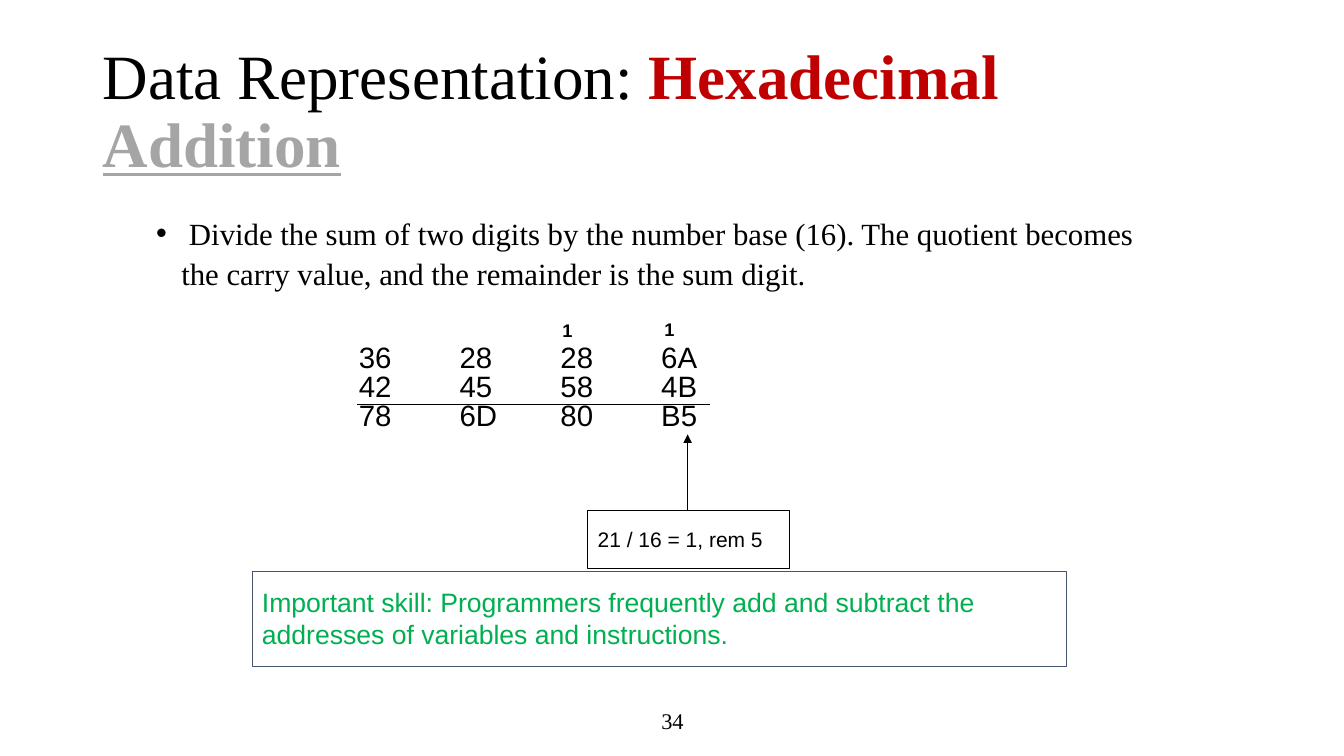
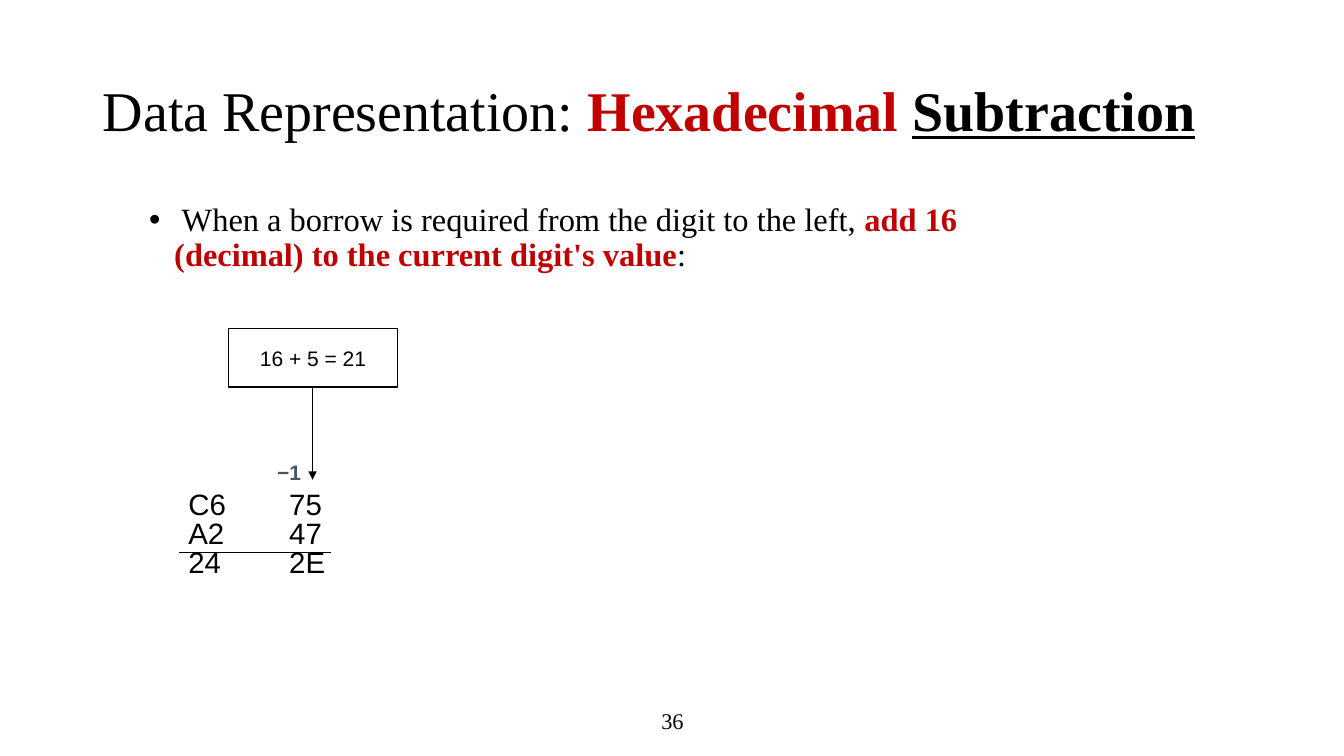
from lxml import etree
from pptx import Presentation
from pptx.dml.color import RGBColor
from pptx.enum import shapes, text
from pptx.oxml.ns import qn
from pptx.util import Inches, Pt

COLORS = {"black": "000000", "red": "C00000", "gray": "A5A5A5",
          "slate": "44546A", "green": "00B050"}
SERIF, SANS = "Times New Roman", "Arial"
ROOMY = (0.1, 0.14)
SNUG = (0.1, 0.05)
COLUMN_STEP = 1

SLIDES = [
    {
        "number": "34",
        "title_size": 45,
        "title": [("Data Representation: ", "black", ""), ("Hexadecimal ", "red", "b"),
                  ("Addition", "gray", "bu")],
        "rule": {"at": (1.45, 2.04, 10.18, 0.67), "size": 22, "spacing": 1.1, "runs": [
            (" Divide the sum of two digits by the number base (16). The quotient becomes "
             "the carry value, and the remainder is the sum digit.", "black", "")]},
        "sum": {"at": (3.46, 3.4, 4.25, 1.07),
                "rows": ["36\t28\t28\t6A", "42\t45\t58\t4B", "78\t6D\t80\tB5"]},
        "lines": [((3.54, 4.01), (7.04, 4.01), False), ((6.82, 5.06), (6.82, 4.31), True)],
        "carries": [("1", (6.49, 3.02, 0.31, 0.52), 13, "black"),
                    ("1", (5.48, 3.03, 0.31, 0.52), 13, "black")],
        "boxes": [
            {"text": "21 / 16 = 1, rem 5", "at": (5.83, 5.06, 2, 0.58), "size": 15,
             "spacing": 1.1},
            {"text": "Important skill: Programmers frequently add and subtract the "
                     "addresses of variables and instructions.",
             "at": (2.5, 5.67, 8.08, 0.94), "size": 19, "color": "green", "border": "slate"},
        ],
    },
    {
        "number": "36",
        "title_size": 40,
        "title": [("Data Representation: ", "black", ""), ("Hexadecimal ", "red", "b"),
                  ("Subtraction", "black", "bu")],
        "rule": {"at": (1.38, 1.97, 9.4, 0.83), "size": 23.2, "spacing": 0.9, "runs": [
            (" When a borrow is required from the digit to the left, ", "black", ""),
            ("add 16 (decimal) to the current digit's value", "red", "b"),
            (":", "black", "")]},
        "sum": {"at": (1.77, 4.86, 1.92, 1.07), "rows": ["C6\t75", "A2\t47", "24\t2E"]},
        "lines": [((1.78, 5.48), (3.28, 5.48), False), ((3.1, 3.84), (3.1, 4.76), True)],
        "carries": [("−1", (2.65, 4.42, 0.58, 0.56), 15, "slate")],
        "boxes": [{"text": "16 + 5 = 21", "at": (2.27, 3.26, 1.67, 0.58), "size": 15,
                   "spacing": 1.1, "align": text.PP_ALIGN.CENTER}],
    },
]


def rgb(name):
    return RGBColor.from_string(COLORS[name])


def place(shape, at):
    shape.left, shape.top, shape.width, shape.height = map(Inches, at)


def set_frame(frame, insets, anchor=text.MSO_ANCHOR.TOP):
    frame.word_wrap = True
    frame.auto_size = text.MSO_AUTO_SIZE.NONE
    frame.vertical_anchor = anchor
    frame.margin_left = frame.margin_right = Inches(insets[0])
    frame.margin_top = frame.margin_bottom = Inches(insets[1])


def write(paragraph, runs, size, face, spacing=1.0, align=text.PP_ALIGN.LEFT):
    paragraph.alignment = align
    paragraph.line_spacing = spacing
    paragraph.space_before = Pt(0)
    for words, color, style in runs:
        run = paragraph.add_run()
        run.text = words
        run.font.name = face
        run.font.size = Pt(size)
        run.font.bold = "b" in style
        run.font.underline = "u" in style
        run.font.color.rgb = rgb(color)


def add_text(slide, at, insets=ROOMY, anchor=text.MSO_ANCHOR.TOP):
    frame = slide.shapes.add_textbox(*map(Inches, at)).text_frame
    set_frame(frame, insets, anchor)
    return frame


def add_title(slide, runs, size):
    title = slide.shapes.title
    place(title, (0.92, 0.4, 11.5, 1.45))
    set_frame(title.text_frame, SNUG, text.MSO_ANCHOR.MIDDLE)
    write(title.text_frame.paragraphs[0], runs, size, SERIF, 0.9)


def add_rule(slide, rule):
    paragraph = add_text(slide, rule["at"], SNUG).paragraphs[0]
    write(paragraph, rule["runs"], rule["size"], SERIF, rule["spacing"])
    props = paragraph._p.get_or_add_pPr()
    props.set("marL", str(Inches(0.25)))
    props.set("indent", str(-Inches(0.25)))
    etree.SubElement(props, qn("a:buFont"), typeface="Arial")
    etree.SubElement(props, qn("a:buChar"), char="•")


def add_sum(slide, at, rows):
    frame = add_text(slide, at)
    for index, row in enumerate(rows):
        paragraph = frame.add_paragraph() if index else frame.paragraphs[0]
        write(paragraph, [(row, "black", "")], 21, SANS, 0.4)
        if index:
            paragraph.space_before = Pt(10.8)
        stops = etree.SubElement(paragraph._p.get_or_add_pPr(), qn("a:tabLst"))
        for column in range(1, row.count("\t") + 1):
            etree.SubElement(stops, qn("a:tab"), pos=str(Inches(column * COLUMN_STEP)),
                             algn="l")


def add_line(slide, start, end, arrow):
    line = slide.shapes.add_connector(shapes.MSO_CONNECTOR.STRAIGHT,
                                      *map(Inches, start + end))
    line.line.width = Pt(0.75)
    line.line.color.rgb = rgb("black")
    if arrow:
        etree.SubElement(line.line._get_or_add_ln(), qn("a:tailEnd"), type="triangle")
    etree.SubElement(line._element.spPr, qn("a:effectLst"))


def add_box(slide, box):
    shape = slide.shapes.add_shape(shapes.MSO_SHAPE.RECTANGLE, *map(Inches, box["at"]))
    shape.shadow.inherit = False
    shape.fill.background()
    shape.line.color.rgb = rgb(box.get("border", "black"))
    shape.line.width = Pt(0.75)
    set_frame(shape.text_frame, ROOMY)
    write(shape.text_frame.paragraphs[0], [(box["text"], box.get("color", "black"), "")],
          box["size"], SANS, box.get("spacing", 1.0), box.get("align", text.PP_ALIGN.LEFT))


def add_number(slide, number):
    frame = add_text(slide, (4.42, 6.95, 4.5, 0.4), SNUG, text.MSO_ANCHOR.MIDDLE)
    write(frame.paragraphs[0], [(number, "black", "")], 16, SERIF,
          align=text.PP_ALIGN.CENTER)


def main():
    deck = Presentation()
    deck.slide_width, deck.slide_height = Inches(13.33), Inches(7.5)
    for content in SLIDES:
        slide = deck.slides.add_slide(deck.slide_layouts[5])
        add_number(slide, content["number"])
        add_title(slide, content["title"], content["title_size"])
        add_rule(slide, content["rule"])
        add_sum(slide, **content["sum"])
        for line in content["lines"]:
            add_line(slide, *line)
        for digit, at, size, color in content["carries"]:
            write(add_text(slide, at).paragraphs[0], [(digit, color, "b")], size, SANS)
        for box in content["boxes"]:
            add_box(slide, box)
    deck.save("out.pptx")


if __name__ == "__main__":
    main()
